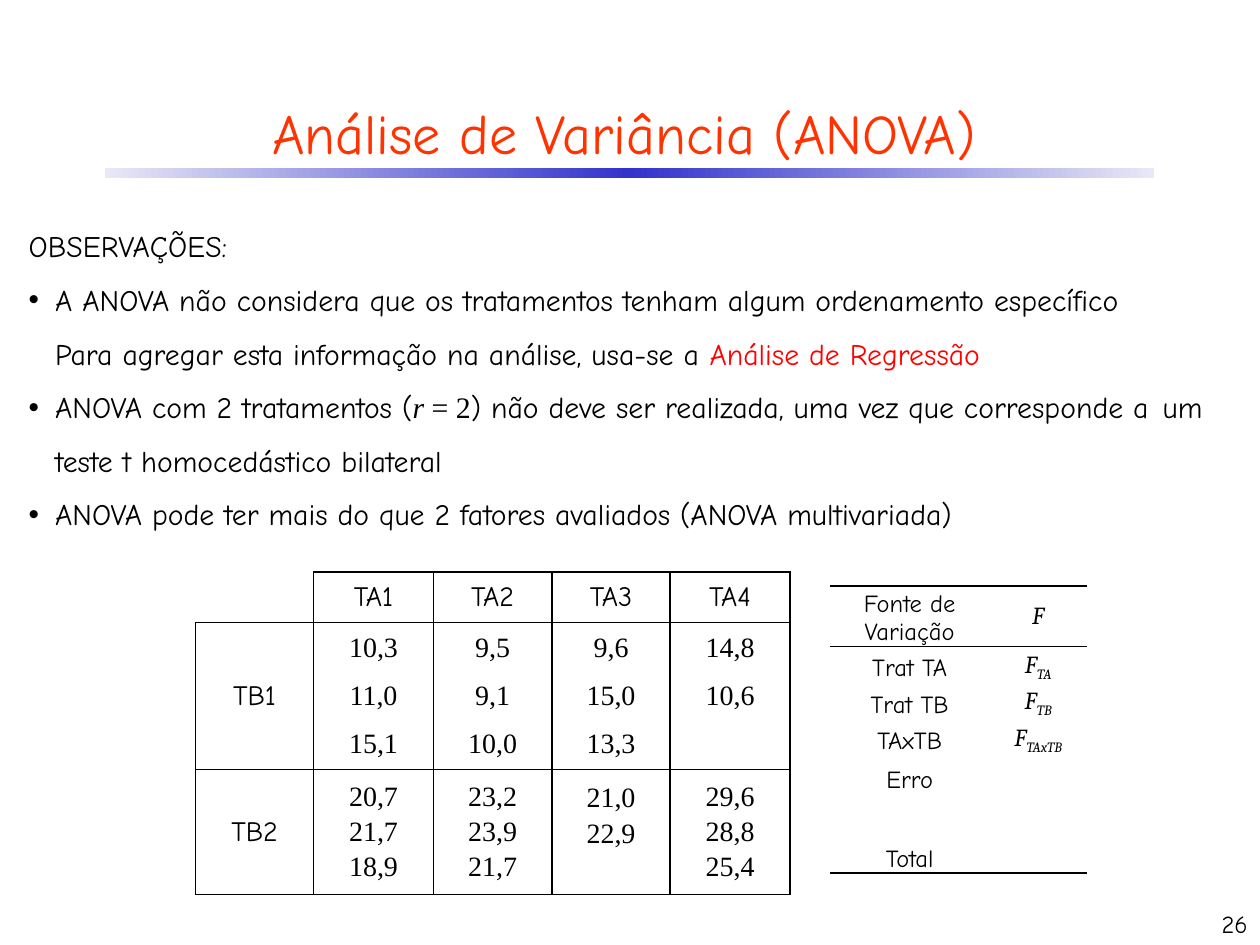
"""Build the slide with remarks on ANOVA and its two-factor example tables."""
from copy import deepcopy

from lxml.etree import SubElement
from pptx import Presentation
from pptx.dml.color import RGBColor
from pptx.enum.shapes import MSO_SHAPE
from pptx.enum.text import MSO_ANCHOR, PP_ALIGN
from pptx.oxml.ns import qn
from pptx.util import Inches, Pt

COMIC, TIMES, CAMBRIA = "Comic Neue", "Times New Roman", "Cambria"
BLACK, WHITE, RED, ORANGE = "000000", "FFFFFF", "FF0000", "FF3300"
BLUE, PALE_BLUE = "3333CC", "E8E8F6"
INDENT = 0.21

TITLE = "Análise de Variância (ANOVA)"
PAGE_NUMBER = "26"
REMARKS = [
    (0, False, ["OBSERVAÇÕES:"]),
    (INDENT, True, ["A ANOVA não considera que os tratamentos tenham algum ordenamento específico"]),
    (INDENT, False, ["Para agregar esta informação na análise, usa-se a ",
                     ("Análise de Regressão", {"color": RED})]),
    (INDENT, True, ["ANOVA com 2 tratamentos (",
                    ("r", {"font": TIMES, "italic": True}),
                    (" = 2", {"font": TIMES}),
                    ") não deve ser realizada, uma vez que corresponde a \tum teste t homocedástico bilateral"]),
    (INDENT, True, ["ANOVA pode ter mais do que 2 fatores avaliados (ANOVA multivariada)"]),
]

MEASUREMENTS = [
    ["", "TA1", "TA2", "TA3", "TA4"],
    ["", "10,3", "9,5", "9,6", "14,8"],
    ["TB1", "11,0", "9,1", "15,0", "10,6"],
    ["", "15,1", "10,0", "13,3", ""],
    ["TB2", "20,7 21,7 18,9", "23,2 23,9 21,7", "21,0 22,9", "29,6 28,8 25,4"],
]
MEASUREMENT_COLUMNS = [0.94, 0.95, 0.94, 0.94, 0.95]
MEASUREMENT_ROWS = [0.36] * 4 + [0.99]
REPLICATES = 3

SOURCES = [
    ("Fonte de Variação", "F", ""),
    ("Trat TA", "F", "TA"),
    ("Trat TB", "F", "TB"),
    ("TAxTB", "F", "TAxTB"),
    ("Erro", "", ""),
    ("", "", ""),
    ("Total", "", ""),
]
SOURCE_COLUMNS = [1.26, 0.78]
SOURCE_ROWS = [0.48] + [0.29] * 3 + [0.3] * 3


def rgb(value):
    return RGBColor.from_string(value)


def write_text(frame, paragraphs, size, font=COMIC, color=BLACK, align=PP_ALIGN.LEFT,
               line_spacing=None, space_before=0):
    """Fill a frame with paragraphs, each a list of strings or (string, format) runs."""
    for index, runs in enumerate(paragraphs):
        paragraph = frame.paragraphs[0] if index == 0 else frame.add_paragraph()
        paragraph.alignment = align
        paragraph.space_before = Pt(space_before)
        if line_spacing:
            paragraph.line_spacing = line_spacing
        for item in runs:
            text, special = (item, {}) if isinstance(item, str) else item
            run = paragraph.add_run()
            run.text = text
            run.font.size = Pt(size)
            run.font.name = special.get("font", font)
            run.font.italic = special.get("italic", False)
            run.font.color.rgb = rgb(special.get("color", color))
            if "baseline" in special:
                run.font._element.set("baseline", str(special["baseline"] * 1000))


def add_text(slide, box, paragraphs, anchor=MSO_ANCHOR.TOP, **text_format):
    frame = slide.shapes.add_textbox(*map(Inches, box)).text_frame
    frame.word_wrap = True
    frame.vertical_anchor = anchor
    write_text(frame, paragraphs, **text_format)
    return frame


def indent_remark(paragraph, margin, bulleted):
    properties = paragraph._p.get_or_add_pPr()
    properties.set("marL", str(Inches(margin)))
    properties.set("indent", str(Inches(-margin if bulleted else 0)))
    if bulleted:
        SubElement(properties, qn("a:buFont"), typeface="Arial")
        SubElement(properties, qn("a:buChar"), char="•")
    else:
        SubElement(properties, qn("a:buNone"))


def set_borders(cell, widths):
    """Draw the sides named in widths (points) and clear the others."""
    properties = cell._tc.get_or_add_tcPr()
    for side in "LRTB":
        width = widths.get(side, 0)
        line = SubElement(properties, qn(f"a:ln{side}"), w=str(Pt(width)))
        if width:
            solid = SubElement(line, qn("a:solidFill"))
            SubElement(solid, qn("a:srgbClr"), val=BLACK)
        else:
            SubElement(line, qn("a:noFill"))


def set_margins(cell, left, top, right, bottom):
    cell.margin_left, cell.margin_top = Inches(left), Inches(top)
    cell.margin_right, cell.margin_bottom = Inches(right), Inches(bottom)


def add_grid(slide, left, top, widths, heights):
    frame = slide.shapes.add_table(len(heights), len(widths), Inches(left), Inches(top),
                                   Inches(sum(widths)), Inches(sum(heights)))
    table = frame.table
    table.first_row = table.horz_banding = False
    for column, width in zip(table.columns, widths):
        column.width = Inches(width)
    for row, height in zip(table.rows, heights):
        row.height = Inches(height)
    return table


def add_stripe(slide):
    stripe = slide.shapes.add_shape(MSO_SHAPE.RECTANGLE, *map(Inches, (0.83, 1.33, 8.33, 0.08)))
    stripe.shadow.inherit = False
    stripe.line.fill.background()
    stripe.fill.gradient()
    stripe.fill.gradient_angle = 0
    stops = stripe._element.spPr.find(qn("a:gradFill")).find(qn("a:gsLst"))
    stops.append(deepcopy(stops[0]))
    for stop, position, color in zip(stripe.fill.gradient_stops, (0, 0.5, 1),
                                     (PALE_BLUE, BLUE, PALE_BLUE)):
        stop.position = position
        stop.color.rgb = rgb(color)


def add_measurements(slide):
    table = add_grid(slide, 1.55, 4.54, MEASUREMENT_COLUMNS, MEASUREMENT_ROWS)
    last = len(MEASUREMENTS) - 1
    for r, values in enumerate(MEASUREMENTS):
        for c, value in enumerate(values):
            cell = table.cell(r, c)
            lines = value.split() or [""]
            missing = REPLICATES - len(lines) if r == last and c else 0
            set_margins(cell, 0.1, 0.05, 0.1, 0.05 + 0.25 * missing)
            cell.vertical_anchor = MSO_ANCHOR.MIDDLE
            write_text(cell.text_frame, [[line] for line in lines], size=16,
                       font=TIMES if r and c else COMIC, align=PP_ALIGN.CENTER, space_before=2.5)
            corner = r == c == 0
            sides = "RB" if corner else "LR"
            sides += "T" if r in (1, last) or (r == 0 and c) else ""
            sides += "B" if r in (0, last - 1, last) and not corner else ""
            set_borders(cell, dict.fromkeys(sides, 1))
            cell.fill.background()


def add_sources(slide):
    table = add_grid(slide, 6.59, 4.65, SOURCE_COLUMNS, SOURCE_ROWS)
    statistic = {"font": CAMBRIA, "italic": True}
    borders = {0: {"T": 1, "B": 0.5}, 1: {"T": 0.5}, len(SOURCES) - 1: {"B": 1}}
    for r, (source, symbol, subscript) in enumerate(SOURCES):
        symbol_runs = [(symbol, statistic)]
        if subscript:
            symbol_runs.append((subscript, {**statistic, "baseline": -25}))
        for c, runs in enumerate(([source], symbol_runs)):
            cell = table.cell(r, c)
            set_margins(cell, 0.01, 0.01, 0.01, 0)
            cell.vertical_anchor = MSO_ANCHOR.MIDDLE if r == 0 and c else MSO_ANCHOR.BOTTOM
            write_text(cell.text_frame, [runs], size=14, align=PP_ALIGN.CENTER)
            set_borders(cell, borders.get(r, {}))
            cell.fill.solid()
            cell.fill.fore_color.rgb = rgb(WHITE)


def main():
    presentation = Presentation()
    presentation.slide_width, presentation.slide_height = Inches(10), Inches(7.5)
    slide = presentation.slides.add_slide(presentation.slide_layouts[6])
    add_stripe(slide)
    add_text(slide, (0.33, 0.67, 9.25, 0.75), [[TITLE]], anchor=MSO_ANCHOR.MIDDLE,
             size=32, color=ORANGE, align=PP_ALIGN.CENTER)
    remarks = add_text(slide, (0.13, 1.62, 9.87, 2.63), [runs for _, _, runs in REMARKS],
                       size=17, line_spacing=1.5)
    for paragraph, (margin, bulleted, _) in zip(remarks.paragraphs, REMARKS):
        indent_remark(paragraph, margin, bulleted)
    add_measurements(slide)
    add_text(slide, (7.92, 7, 2.08, 0.5), [[PAGE_NUMBER]], anchor=MSO_ANCHOR.BOTTOM,
             size=14, align=PP_ALIGN.RIGHT)
    add_sources(slide)
    presentation.save("out.pptx")


if __name__ == "__main__":
    main()
